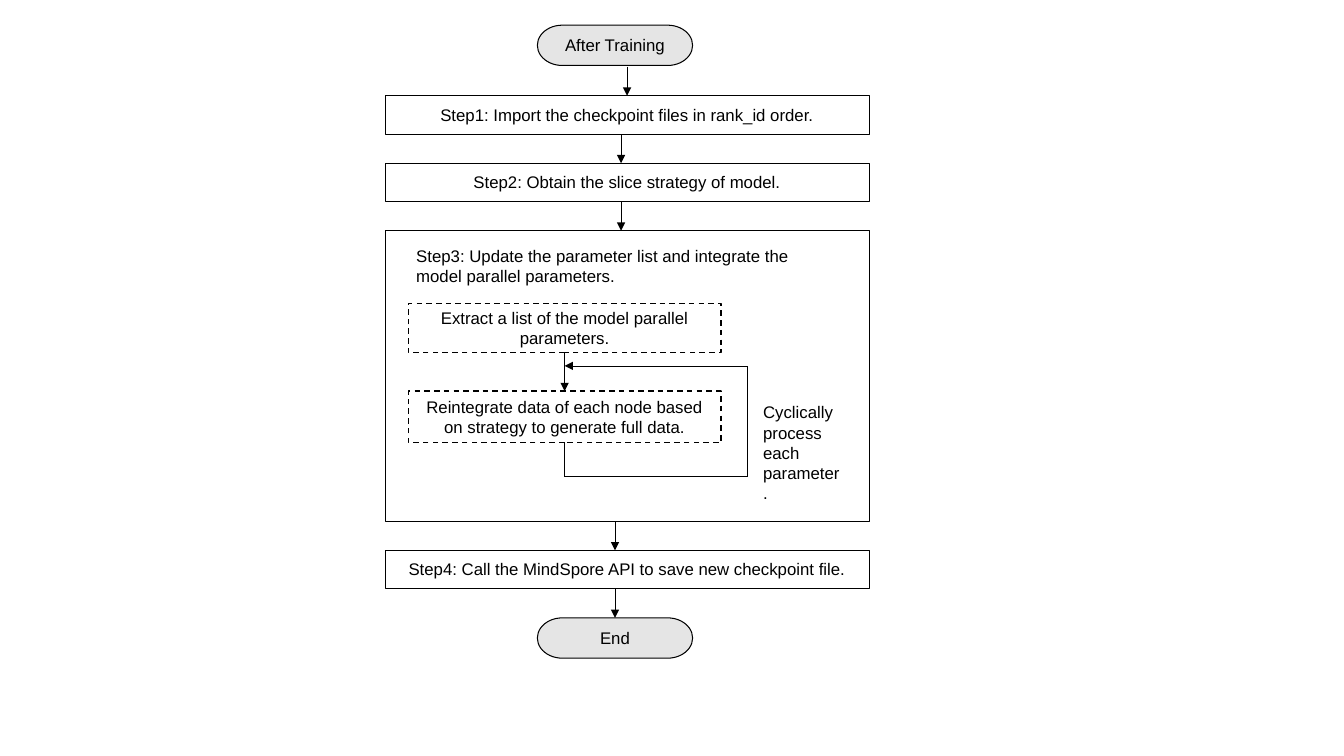
from lxml import etree
from pptx import Presentation
from pptx.dml.color import RGBColor
from pptx.enum import dml, shapes, text
from pptx.oxml.ns import qn
from pptx.util import Inches, Pt

INK = {"black": "000000", "gray": "E5E5E5"}
FORM = shapes.MSO_SHAPE


def color(name):
    return RGBColor.from_string(INK[name])


def write(frame, words, align=text.PP_ALIGN.LEFT, size=12, font="Arial",
          ink="black", wrap=True, space=None):
    frame.word_wrap = wrap
    para = frame.paragraphs[0]
    para.alignment = align
    para.line_spacing = space
    run = para.add_run()
    run.text = words
    run.font.size = Pt(size)
    run.font.name = font
    run.font.color.rgb = color(ink)


class Flow:
    def __init__(self, slide):
        self.slide = slide
        self.thin = 0.5
        self.edge = 0.75
        self.heavy = 1

    def shape(self, form, x, y, w, h, fill=None, line=None):
        item = self.slide.shapes.add_shape(
            form, Inches(x), Inches(y), Inches(w), Inches(h))
        item.shadow.inherit = False
        if fill:
            item.fill.solid()
            item.fill.fore_color.rgb = color(fill)
        else:
            item.fill.background()
        item.line.color.rgb = color("black")
        item.line.width = Pt(line or self.edge)
        return item

    def step(self, form, x, y, w, h, words, fill=None):
        item = self.shape(form, x, y, w, h, fill)
        frame = item.text_frame
        frame.margin_top = Inches(0.06)
        frame.margin_bottom = Inches(0.05)
        frame.vertical_anchor = text.MSO_ANCHOR.MIDDLE
        write(frame, words, text.PP_ALIGN.CENTER, wrap=False, space=0.93)
        return item

    def task(self, x, y, w, h, words):
        item = self.shape(FORM.RECTANGLE, x, y, w, h, line=self.heavy)
        item.line.dash_style = dml.MSO_LINE.DASH
        item.text_frame.vertical_anchor = text.MSO_ANCHOR.MIDDLE
        write(item.text_frame, words, text.PP_ALIGN.CENTER)
        return item

    def note(self, x, y, w, h, words):
        box = self.slide.shapes.add_textbox(
            Inches(x), Inches(y), Inches(w), Inches(h))
        write(box.text_frame, words)
        box.text_frame.auto_size = text.MSO_AUTO_SIZE.SHAPE_TO_FIT_TEXT

    def link(self, x1, y1, x2, y2, head=True, start=None, stop=None):
        wire = self.slide.shapes.add_connector(
            shapes.MSO_CONNECTOR.STRAIGHT,
            Inches(x1), Inches(y1), Inches(x2), Inches(y2))
        wire.line.color.rgb = color("black")
        wire.line.width = Pt(self.thin)
        if head:
            line = wire.line._get_or_add_ln()
            etree.SubElement(line, qn("a:tailEnd"), type="triangle")
        etree.SubElement(wire._element.spPr, qn("a:effectLst"))
        if start:
            wire.begin_connect(start, 2)
        if stop:
            wire.end_connect(stop, 0)


def main():
    deck = Presentation()
    deck.slide_width = Inches(13.33)
    deck.slide_height = Inches(7.5)
    flow = Flow(deck.slides.add_slide(deck.slide_layouts[6]))

    left, wide, high = 3.82, 4.8, 0.38
    flow.step(FORM.FLOWCHART_TERMINATOR, 5.33, 0.25, 1.54, 0.4,
              "After Training", "gray")
    steps = [
        flow.step(FORM.FLOWCHART_PROCESS, left, y, wide, high, words)
        for y, words in (
            (0.95, "Step1: Import the checkpoint files in rank_id order."),
            (1.62, "Step2: Obtain the slice strategy of model."),
            (5.46, "Step4: Call the MindSpore API to save new checkpoint file."),
        )
    ]
    flow.shape(FORM.FLOWCHART_PROCESS, left, 2.29, wide, 2.88)
    flow.note(4.03, 2.39, 4.16, 0.5,
              "Step3: Update the parameter list and integrate the "
              "model parallel parameters.")
    pull = flow.task(4.05, 3.01, 3.1, 0.49,
                     "Extract a list of the model parallel parameters.")
    merge = flow.task(4.05, 3.88, 3.1, 0.51,
                      "Reintegrate data of each node based on strategy "
                      "to generate full data.")
    end = flow.step(FORM.FLOWCHART_TERMINATOR, 5.33, 6.13, 1.54, 0.4,
                    "End", "gray")

    flow.link(6.22, 0.66, 6.22, 0.95, stop=steps[0])
    for x, top, low in ((6.16, 1.33, 1.62), (6.16, 2, 2.29), (6.1, 5.17, 5.46)):
        flow.link(x, top, x, low)
    flow.link(6.1, 5.84, 6.1, 6.13, stop=end)

    mid, side, top, low = 5.6, 7.41, 3.63, 4.73
    flow.link(mid, 3.5, mid, 3.88, start=pull, stop=merge)
    flow.link(mid, 4.39, mid, low, head=False, start=merge)
    flow.link(mid, low, side, low, head=False)
    flow.link(side, low, side, top, head=False)
    flow.link(side, top, mid, top)
    flow.note(7.47, 3.94, 0.98, 0.91, "Cyclically process each parameter.")

    deck.save("out.pptx")


if __name__ == "__main__":
    main()
